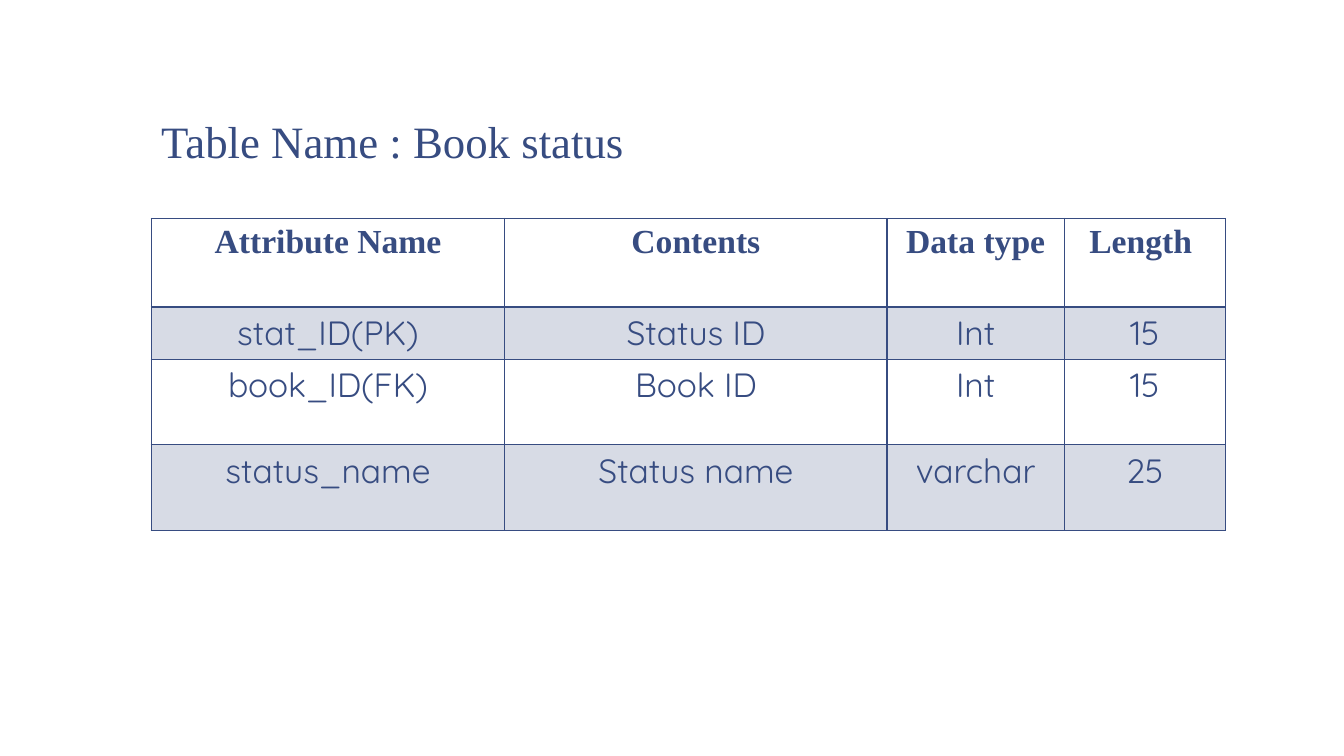
"""Build a slide that describes the columns of the book status table."""
from lxml import etree
from pptx import Presentation, util as u
from pptx.dml.color import RGBColor
from pptx.enum import text as t
from pptx.oxml import ns

NAVY = RGBColor(0x37, 0x4C, 0x81)
SERIF = "Times New Roman"
SANS = "Quicksand"
WIDE, HIGH = u.Inches(13.33), u.Inches(7.5)
COLS = (42.1, 45.5, 21.1, 19.2)
ROWS = (10.55, 6, 10.2, 10.2)
DATA = (
    ("Attribute Name", "Contents", "Data type", "Length "),
    ("stat_ID(PK)", "Status ID", "Int", "15"),
    ("book_ID(FK)", "Book ID", "Int", "15"),
    ("status_name", "Status name", "varchar", "25"),
)


def col(n):
    """Return the width of n columns of a grid 160 columns wide."""
    return int(WIDE * n / 160)


def row(n):
    """Return the height of n rows of a grid 90 rows high."""
    return int(HIGH * n / 90)


def write(frame, words, size, face, bold=False):
    """Add one run to the first paragraph and return the paragraph."""
    para = frame.paragraphs[0]
    run = para.add_run()
    run.text = words
    font = run.font
    font.size, font.name, font.bold = u.Pt(size), face, bold
    font.color.rgb = NAVY
    return para


def node(up, tag, **attrs):
    """Add a drawing element under up."""
    return etree.SubElement(up, ns.qn(tag), **attrs)


def edge(cell, side, width):
    """Draw one border of a cell."""
    line = node(cell._tc.get_or_add_tcPr(), "a:ln" + side, w=str(u.Pt(width)))
    node(node(line, "a:solidFill"), "a:srgbClr", val=str(NAVY))


def tint(cell, share):
    """Fill a cell with navy at the given opacity."""
    cell.fill.solid()
    cell.fill.fore_color.rgb = NAVY
    hue = cell._tc.tcPr.find("a:solidFill/a:srgbClr", ns._nsmap)
    node(hue, "a:alpha", val=str(int(share * 100000)))


def style(cell, words, r):
    """Set the text, borders and fill of a cell in row r."""
    head = r == 0
    para = write(cell.text_frame, words, 24, SERIF if head else SANS, head)
    para.alignment = t.PP_ALIGN.CENTER
    for side in "LRTB":
        rule = (r, side) in ((0, "B"), (1, "T"))
        edge(cell, side, 2 if rule else 1)
    if r % 2:
        tint(cell, 0.2)
    else:
        cell.fill.background()


def grid(slide, left, top):
    """Add the table of attributes."""
    frame = slide.shapes.add_table(
        len(ROWS), len(COLS), col(left), row(top), col(sum(COLS)), row(sum(ROWS)))
    table = frame.table
    table.first_row = table.horz_banding = False
    for c, n in enumerate(COLS):
        table.columns[c].width = col(n)
    for r, n in enumerate(ROWS):
        table.rows[r].height = row(n)
        for c, words in enumerate(DATA[r]):
            style(table.cell(r, c), words, r)


def title(slide, words, left, top, wide, high):
    """Add the heading above the table."""
    box = slide.shapes.add_textbox(col(left), row(top), col(wide), row(high))
    frame = box.text_frame
    frame.word_wrap = True
    frame.auto_size = t.MSO_AUTO_SIZE.SHAPE_TO_FIT_TEXT
    write(frame, words, 32, SERIF)


def main():
    """Build and save the slide."""
    deck = Presentation()
    deck.slide_width, deck.slide_height = WIDE, HIGH
    slide = deck.slides.add_slide(deck.slide_layouts[6])
    grid(slide, 18, 26)
    title(slide, "Table Name : Book status", 18, 13, 58.1, 7.7)
    deck.save("out.pptx")


if __name__ == "__main__":
    main()
